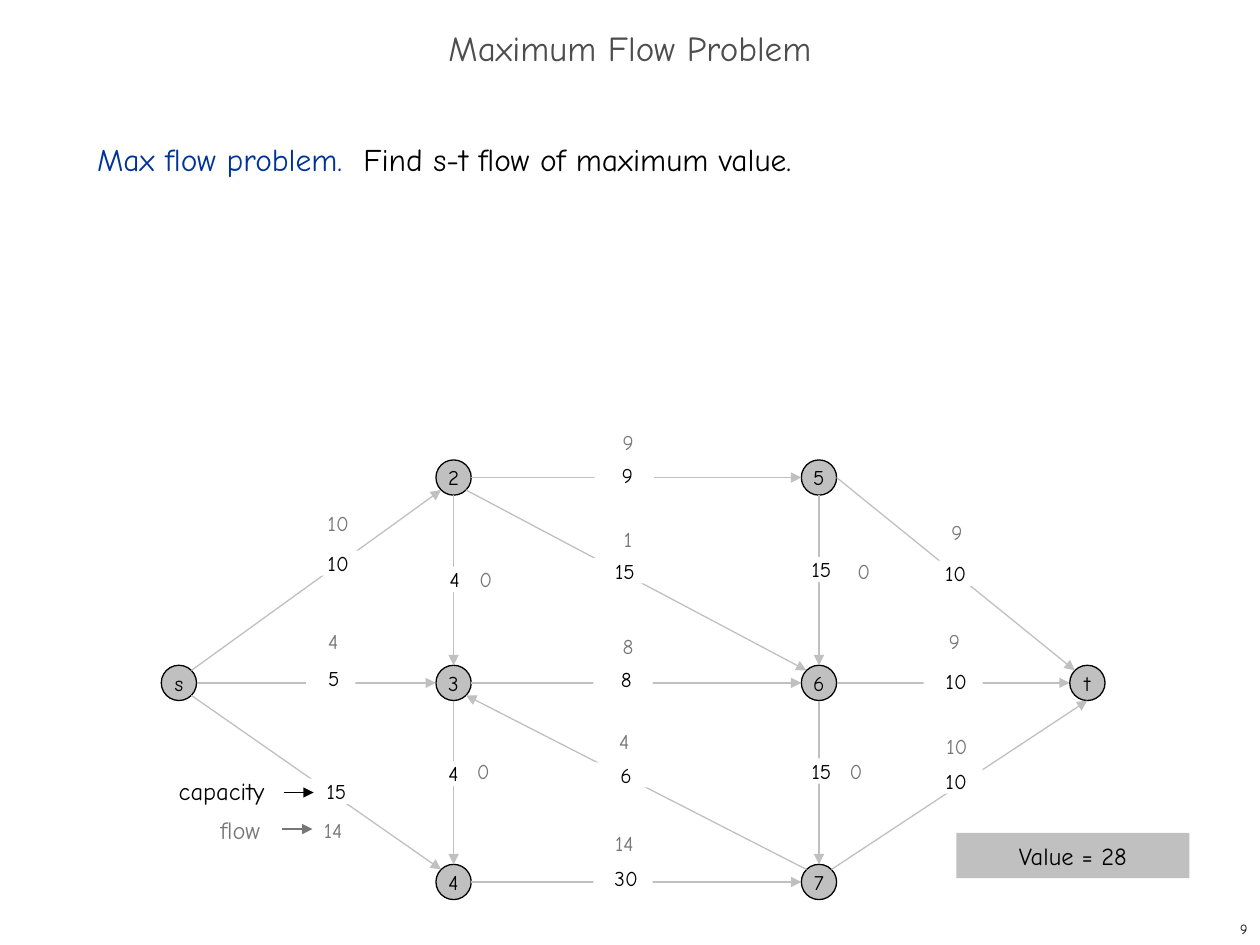
"""Build the Maximum Flow Problem slide with its s-t flow network."""
from math import sqrt

from lxml.etree import SubElement
from pptx import Presentation
from pptx.dml.color import RGBColor
from pptx.enum.shapes import MSO_CONNECTOR, MSO_SHAPE
from pptx.enum.text import MSO_ANCHOR, PP_ALIGN
from pptx.oxml.ns import qn
from pptx.util import Inches, Pt

FONT = "Comic Neue"
COLORS = {"ink": "000000", "node": "C0C0C0", "flow": "777777",
          "title": "4D4D4D", "term": "003399", "paper": "FFFFFF"}
RADIUS = 0.14
DIAGONAL = RADIUS / sqrt(2)
PORTS = {"n": (0, -RADIUS), "s": (0, RADIUS), "w": (-RADIUS, 0), "e": (RADIUS, 0),
         "nw": (-DIAGONAL, -DIAGONAL), "ne": (DIAGONAL, -DIAGONAL),
         "sw": (-DIAGONAL, DIAGONAL), "se": (DIAGONAL, DIAGONAL)}


def write(shape, text, size, color, align=PP_ALIGN.CENTER, anchor=MSO_ANCHOR.TOP,
          margins=(0, 0, 0, 0), wrap=True):
    frame = shape.text_frame
    frame.word_wrap = wrap
    frame.vertical_anchor = anchor
    frame.margin_left, frame.margin_top, frame.margin_right, frame.margin_bottom = map(Inches, margins)
    paragraph = frame.paragraphs[0]
    paragraph.text = text
    paragraph.alignment = align
    paragraph.font.name = FONT
    paragraph.font.size = Pt(size)
    paragraph.font.color.rgb = RGBColor.from_string(COLORS[color])
    return paragraph


def add_arrow(slide, start, end, color):
    arrow = slide.shapes.add_connector(MSO_CONNECTOR.STRAIGHT, *map(Inches, start + end))
    arrow.line.color.rgb = RGBColor.from_string(COLORS[color])
    arrow.line.width = Pt(0.75)
    SubElement(arrow.line._get_or_add_ln(), qn("a:tailEnd"), type="triangle")
    SubElement(arrow._element.spPr, qn("a:effectLst"))


presentation = Presentation()
presentation.slide_width, presentation.slide_height = Inches(10), Inches(7.5)
slide = presentation.slides.add_slide(presentation.slide_layouts[1])
shapes = slide.shapes
padding = (0.1, 0.05, 0.1, 0.05)

title, statement = shapes.title, slide.placeholders[1]
for placeholder, box in ((title, (0, 0.17, 10, 0.5)), (statement, (0.67, 1, 8.58, 5.92))):
    placeholder.left, placeholder.top, placeholder.width, placeholder.height = map(Inches, box)
heading = write(title, "Maximum Flow Problem", 20, "title", anchor=MSO_ANCHOR.MIDDLE, margins=padding)
heading.line_spacing = 0.7

definition = write(statement, "Max flow problem.  ", 18, "ink", PP_ALIGN.LEFT, margins=padding)
definition.line_spacing = Pt(26)
definition.runs[0].font.color.rgb = RGBColor.from_string(COLORS["term"])
definition.add_run().text = "Find s-t flow of maximum value."
properties = definition._p.get_or_add_pPr()
properties.set("marL", "0")
properties.set("indent", "0")
SubElement(properties, qn("a:buNone"))
properties.append(properties.find(qn("a:defRPr")))

page_number = shapes.add_textbox(*map(Inches, (7.92, 7.25, 2.08, 0.25)))
write(page_number, "9", 8, "ink", PP_ALIGN.RIGHT, MSO_ANCHOR.MIDDLE, padding)

columns = (1.42, 3.6, 6.5, 8.63)
rows = (3.79, 5.42, 7)
grid = {"s": (0, 1), "2": (1, 0), "3": (1, 1), "4": (1, 2),
        "5": (2, 0), "6": (2, 1), "7": (2, 2), "t": (3, 1)}
nodes = {name: (columns[column], rows[row]) for name, (column, row) in grid.items()}
for name, (x, y) in nodes.items():
    node = shapes.add_shape(MSO_SHAPE.OVAL, *map(Inches, (x - RADIUS, y - RADIUS, 2 * RADIUS, 2 * RADIUS)))
    node.shadow.inherit = False
    node.fill.solid()
    node.fill.fore_color.rgb = RGBColor.from_string(COLORS["node"])
    node.line.color.rgb = RGBColor.from_string(COLORS["ink"])
    node.line.width = Pt(0.75)
    write(node, name, 12, "ink", anchor=MSO_ANCHOR.MIDDLE, margins=padding, wrap=False)

edges = [
    ("s", "ne", "2", "sw", "10", (2.38, 4.37), "10", (2.5, 4.05)),
    ("s", "e", "3", "w", "5", (2.43, 5.28), "4", (2.46, 4.99)),
    ("s", "se", "4", "nw", "15", (2.41, 6.18), "14", (2.46, 6.49)),
    ("2", "e", "5", "w", "9", (4.72, 3.67), "9", (4.8, 3.41)),
    ("2", "se", "6", "nw", "15", (4.7, 4.43), "1", (4.8, 4.18)),
    ("2", "s", "3", "n", "4", (3.35, 4.5), "0", (3.67, 4.5)),
    ("3", "e", "6", "w", "8", (4.71, 5.29), "8", (4.8, 5.03)),
    ("3", "s", "4", "n", "4", (3.34, 6.04), "0", (3.65, 6.02)),
    ("4", "e", "7", "w", "30", (4.71, 6.87), "14", (4.77, 6.59)),
    ("5", "s", "6", "n", "15", (6.26, 4.42), "0", (6.67, 4.43)),
    ("5", "e", "t", "nw", "10", (7.28, 4.45), "9", (7.41, 4.12)),
    ("6", "e", "t", "w", "10", (7.33, 5.31), "9", (7.39, 4.99)),
    ("6", "s", "7", "n", "15", (6.26, 6.02), "0", (6.61, 6.02)),
    ("7", "nw", "3", "se", "6", (4.71, 6.05), "4", (4.77, 5.78)),
    ("7", "ne", "t", "s", "10", (7.33, 6.1), "10", (7.41, 5.82)),
]
for source, exit_port, target, entry_port, capacity, capacity_at, flow, flow_at in edges:
    start, end = (
        tuple(center + offset for center, offset in zip(nodes[name], PORTS[port]))
        for name, port in ((source, exit_port), (target, entry_port)))
    add_arrow(slide, start, end, "node")

    width = 0.39 if (source, target) == ("s", "3") else 0.47
    indent = 0.14 if (source, target) in (("s", "2"), ("5", "t")) else 0.05
    capacity_label = shapes.add_shape(MSO_SHAPE.RECTANGLE, *map(Inches, capacity_at + (width, 0.2)))
    capacity_label.shadow.inherit = False
    capacity_label.fill.solid()
    capacity_label.fill.fore_color.rgb = RGBColor.from_string(COLORS["paper"])
    capacity_label.line.fill.background()
    write(capacity_label, capacity, 12, "ink", margins=(indent, 0, 0, 0))

    flow_label = shapes.add_textbox(*map(Inches, flow_at + (0.37, 0.19)))
    write(flow_label, flow, 12, "flow")

legend = [("capacity", (1.32, 6.11, 0.88, 0.33), (2.25, 6.29), "ink"),
          ("flow", (1.65, 6.42, 0.52, 0.33), (2.24, 6.58), "flow")]
for term, box, (x, y), color in legend:
    write(shapes.add_textbox(*map(Inches, box)), term, 14, color, PP_ALIGN.LEFT,
          margins=padding, wrap=False)
    add_arrow(slide, (x, y), (x + 0.24, y), color)

flow_value = shapes.add_shape(MSO_SHAPE.RECTANGLE, *map(Inches, (7.59, 6.61, 1.85, 0.36)))
flow_value.shadow.inherit = False
flow_value.fill.solid()
flow_value.fill.fore_color.rgb = RGBColor.from_string(COLORS["node"])
flow_value.line.fill.background()
write(flow_value, "Value = 28", 14, "ink", anchor=MSO_ANCHOR.MIDDLE, margins=(0.1, 0.1, 0.1, 0.1))

presentation.save("out.pptx")
